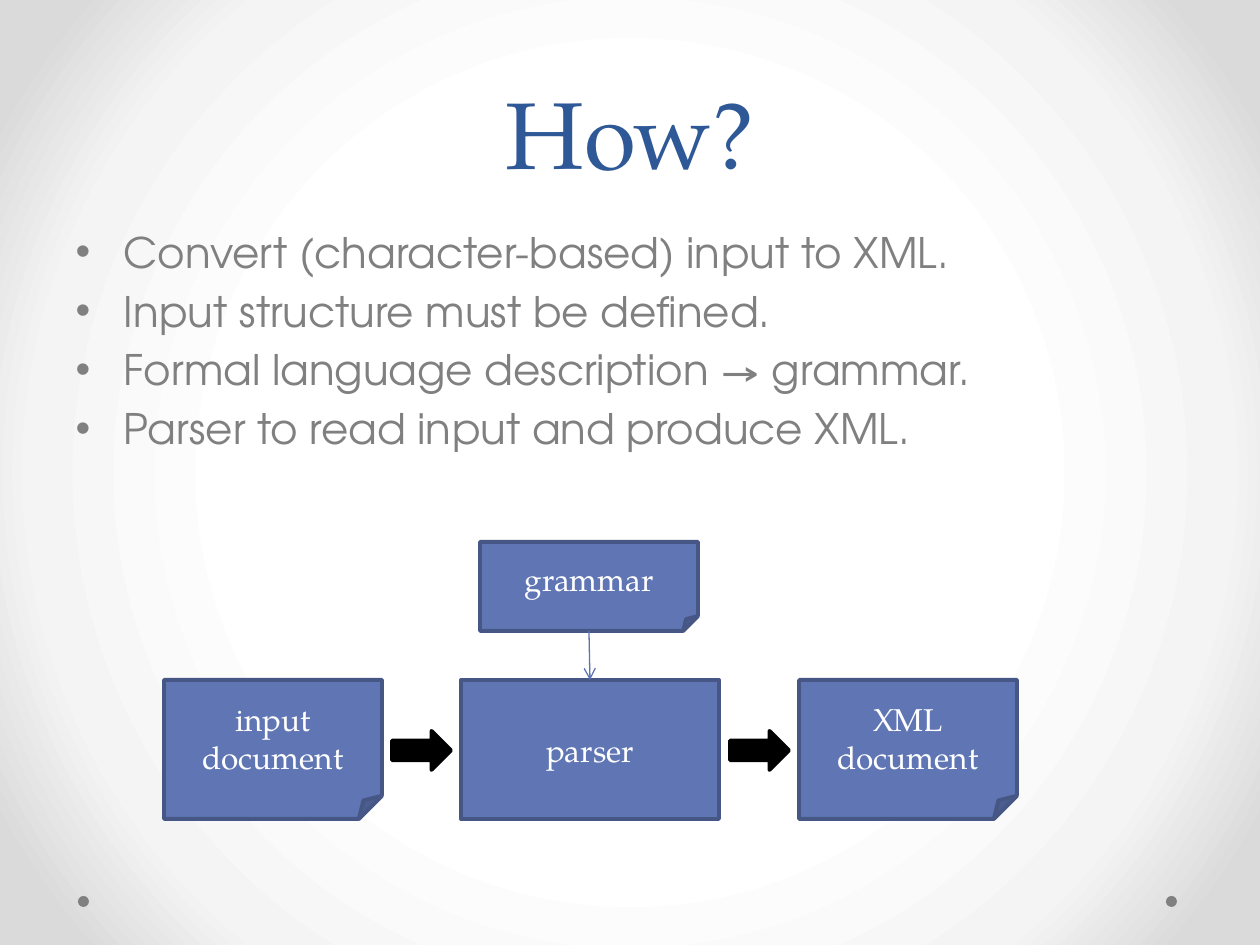
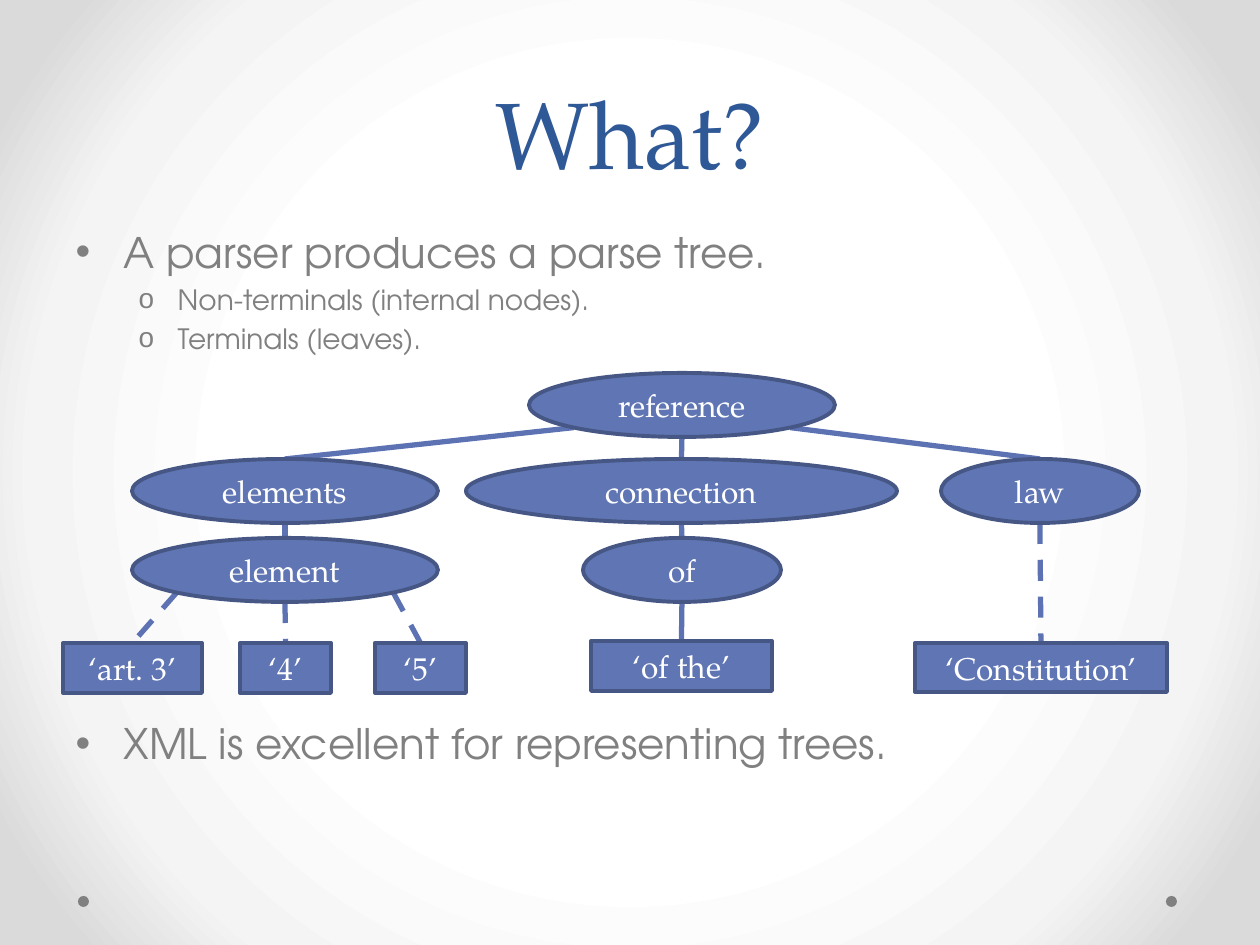
import pptx
import pptx.util
import pptx.dml.color
import pptx.enum.dml
import pptx.enum.shapes
import pptx.enum.text
import pptx.oxml
import pptx.oxml.ns
from lxml import etree

Pt = pptx.util.Pt
Kind = pptx.enum.shapes.MSO_SHAPE
Anchor = pptx.enum.text.MSO_ANCHOR
Align = pptx.enum.text.PP_ALIGN
qn = pptx.oxml.ns.qn

SCALE = 914400 // 126
COLORS = {"title": "2F5897", "body": "808080", "fill": "6076B4", "edge": "475785",
          "link": "5C72B2", "text": "FFFFFF", "arrow": "000000"}
STOPS = [(50, "FFFFFF"), (76, "F4F4F4"), (92, "DADADA")]
SERIF = "TeX Gyre Pagella"
SANS = "TeX Gyre Adventor"
LEVELS = [("•", 24, 48, 48), ("o", 16, 102, 39)]
SPOTS = {"top": (0.5, 0), "left": (0.146, 0.854), "right": (0.854, 0.854), "base": (0.5, 1)}


def emu(*sizes):
    return [round(size * SCALE) for size in sizes]


def color(name):
    return pptx.dml.color.RGBColor.from_string(COLORS[name])


def spot(box, side):
    x, y, w, h = box
    across, down = SPOTS[side]
    return x + w * across, y + h * down


class Deck:
    def __init__(self):
        self.show = pptx.Presentation()
        self.show.slide_width, self.show.slide_height = emu(1260, 945)
        self.slide = None
        self.paint()

    def paint(self):
        master = self.show.slide_master
        master.background.fill.solid()
        solid = next(master.element.iter(qn("p:bgPr"))).find(qn("a:solidFill"))
        stops = "".join(f'<a:gs pos="{pos * 1000}"><a:srgbClr val="{tone}"/></a:gs>'
                        for pos, tone in STOPS)
        grad = pptx.oxml.parse_xml(
            f'<a:gradFill {pptx.oxml.ns.nsdecls("a")} rotWithShape="1"><a:gsLst>{stops}</a:gsLst>'
            '<a:path path="circle"><a:fillToRect l="50000" t="50000" r="50000" b="50000"/>'
            '</a:path></a:gradFill>')
        solid.getparent().replace(solid, grad)

    def start(self, title):
        self.slide = self.show.slides.add_slide(self.show.slide_layouts[1])
        for x in (1166, 78):
            self.shape(Kind.OVAL, (x, 896, 11, 11), "body")
        frame = self.place(self.slide.shapes.title, (63, 0, 1134, 195))
        frame.vertical_anchor = Anchor.BOTTOM
        frame.text = title
        para = frame.paragraphs[0]
        para.alignment = Align.CENTER
        para.line_spacing = Pt(58)
        self.font(para, SERIF, 54, "title")

    def place(self, holder, box):
        holder.left, holder.top, holder.width, holder.height = emu(*box)
        frame = holder.text_frame
        frame.auto_size = pptx.enum.text.MSO_AUTO_SIZE.NONE
        frame.word_wrap = True
        return frame

    def font(self, para, face, size, tone):
        for run in para.runs:
            run.font.name = face
            run.font.size = Pt(size)
            run.font.color.rgb = color(tone)

    def list(self, items, height):
        frame = self.place(self.slide.placeholders[1], (63, 220, 1134, height))
        frame.text = "\n".join(text for text, level in items)
        for para, (text, level) in zip(frame.paragraphs, items):
            mark, size, left, hang = LEVELS[level]
            para.level = level
            props = para._p.get_or_add_pPr()
            props.set("marL", str(left * SCALE))
            props.set("indent", str(-hang * SCALE))
            etree.SubElement(props, qn("a:buChar")).set("char", mark)
            self.font(para, SANS, size, "body")
        return frame

    def shape(self, kind, box, fill, edge=None):
        item = self.slide.shapes.add_shape(kind, *emu(*box))
        item.shadow.inherit = False
        item.fill.solid()
        item.fill.fore_color.rgb = color(fill)
        if edge:
            item.line.color.rgb = color(edge)
            item.line.width = Pt(2.25)
        else:
            item.line.fill.background()
        return item

    def node(self, kind, box, text):
        frame = self.shape(kind, box, "fill", "edge").text_frame
        frame.word_wrap = True
        frame.vertical_anchor = Anchor.MIDDLE
        frame.text = text
        frame.paragraphs[0].alignment = Align.CENTER
        self.font(frame.paragraphs[0], SERIF, 18, "text")

    def link(self, start, end, width=3, dash=False, head=False):
        line = self.slide.shapes.add_connector(
            pptx.enum.shapes.MSO_CONNECTOR.STRAIGHT, *emu(*start, *end))
        line.line.color.rgb = color("link")
        line.line.width = Pt(width)
        if dash:
            line.line.dash_style = pptx.enum.dml.MSO_LINE.DASH
        props = line.element.spPr
        if head:
            etree.SubElement(props.find(qn("a:ln")), qn("a:tailEnd")).set("type", "arrow")
        etree.SubElement(props, qn("a:effectLst"))


def how(deck):
    deck.start("How?")
    deck.list([("Convert (character-based) input to XML.", 0),
               ("Input structure must be defined.", 0),
               ("Formal language description → grammar.", 0),
               ("Parser to read input and produce XML.", 0)], 272)
    parser = (461, 680, 258, 139)
    rules = (480, 542, 218, 89)
    deck.node(Kind.FOLDED_CORNER, (164, 680, 218, 139), "input document")
    deck.node(Kind.RECTANGLE, parser, "parser")
    deck.node(Kind.FOLDED_CORNER, rules, "grammar")
    deck.node(Kind.FOLDED_CORNER, (799, 680, 218, 139), "XML document")
    for x in (392, 730):
        deck.shape(Kind.RIGHT_ARROW, (x, 731, 59, 39), "arrow", "arrow")
    deck.link(spot(rules, "base"), spot(parser, "top"), 0.75, head=True)


def what(deck):
    deck.start("What?")
    frame = deck.list([("A parser produces a parse tree.", 0),
                       ("Non-terminals (internal nodes).", 1),
                       ("Terminals (leaves).", 1),
                       ("XML is excellent for representing trees.", 0)], 624)
    frame.paragraphs[-1].space_before = Pt(207)
    ovals = {"reference": (529, 373, 306, 64),
             "elements": (132, 459, 306, 64),
             "connection": (466, 459, 431, 64),
             "law": (941, 459, 198, 64),
             "element": (132, 538, 306, 64),
             "of": (583, 538, 198, 64)}
    leaves = {"‘of the’": (591, 641, 181, 50),
              "‘Constitution’": (915, 643, 252, 49),
              "‘art. 3’": (63, 643, 139, 50),
              "‘4’": (240, 643, 91, 50),
              "‘5’": (375, 643, 91, 50)}
    boxes = {**ovals, **leaves}
    links = [("reference", "left", "elements", False),
             ("reference", "base", "connection", False),
             ("reference", "right", "law", False),
             ("elements", "base", "element", False),
             ("element", "base", "‘4’", True),
             ("element", "left", "‘art. 3’", True),
             ("element", "right", "‘5’", True),
             ("connection", "base", "of", False),
             ("of", "base", "‘of the’", False),
             ("law", "base", "‘Constitution’", True)]
    for upper, side, lower, dash in links:
        deck.link(spot(boxes[upper], side), spot(boxes[lower], "top"), dash=dash)
    for kind, group in ((Kind.OVAL, ovals), (Kind.RECTANGLE, leaves)):
        for text, box in group.items():
            deck.node(kind, box, text)


deck = Deck()
how(deck)
what(deck)
deck.show.save("out.pptx")
